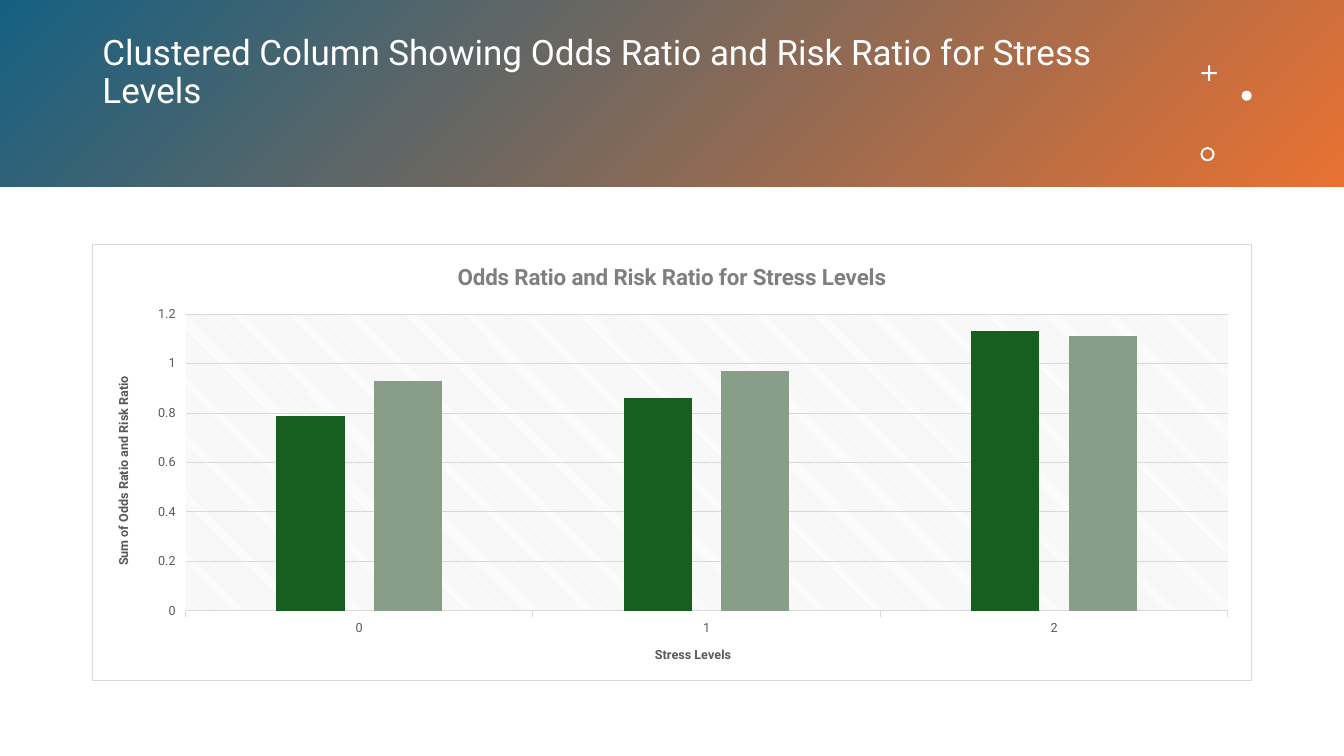
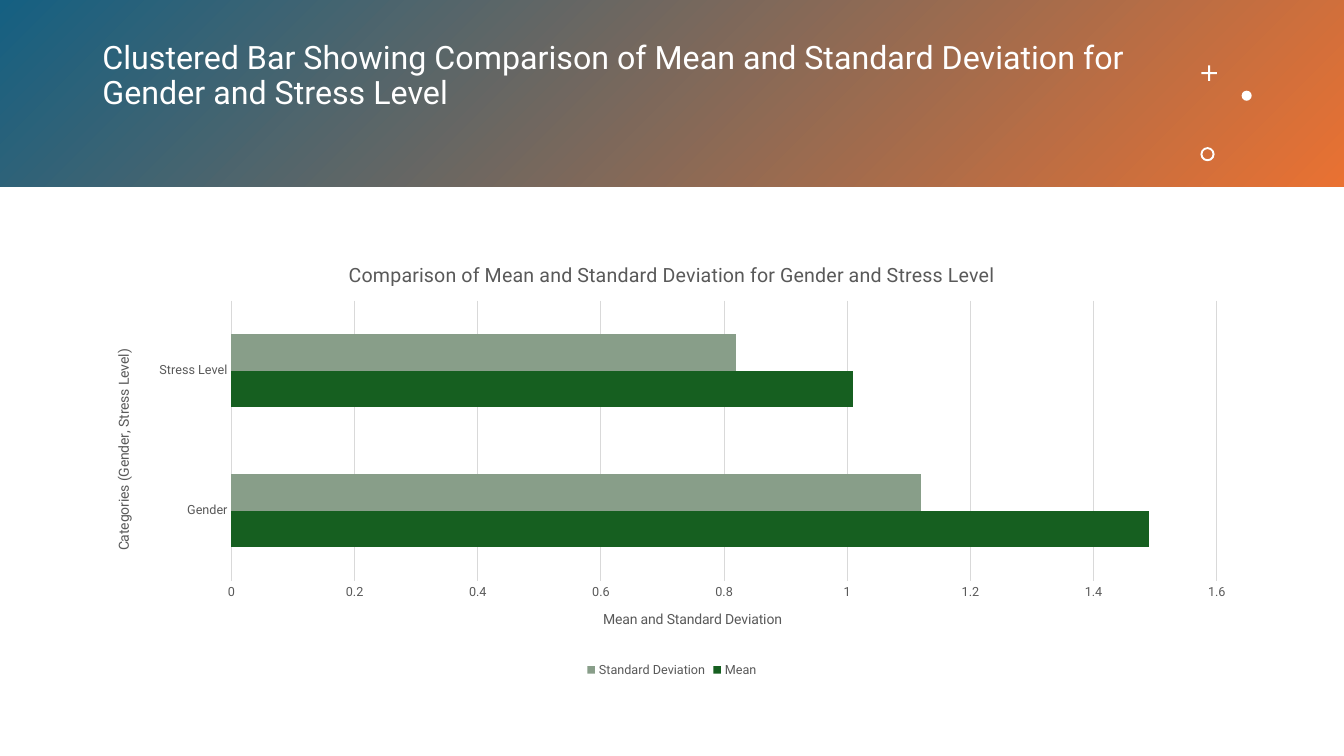
from dataclasses import dataclass

from pptx import Presentation
from pptx.chart.axis import _BaseAxis as Axis
from pptx.chart.chart import Chart
from pptx.chart.data import CategoryChartData as Data
from pptx.dml.color import RGBColor as RGB
from pptx.enum.chart import XL_CHART_TYPE as Kind
from pptx.enum.chart import XL_LEGEND_POSITION as Side
from pptx.enum.chart import XL_TICK_MARK as Tick
from pptx.enum.shapes import MSO_SHAPE as Form
from pptx.enum.text import MSO_ANCHOR as Anchor
from pptx.enum.text import MSO_AUTO_SIZE as Fit
from pptx.enum.text import PP_ALIGN as Align
from pptx.oxml import parse_xml
from pptx.oxml.ns import nsdecls
from pptx.shapes.autoshape import Shape
from pptx.slide import Slide
from pptx.text.text import Font, TextFrame
from pptx.util import Pt

BLUE = RGB(0x15, 0x60, 0x82)
ORANGE = RGB(0xE9, 0x71, 0x32)
WHITE = RGB(0xFF, 0xFF, 0xFF)
GREEN = RGB(0x16, 0x5F, 0x20)
SAGE = RGB(0x88, 0x9E, 0x89)
RULE = RGB(0xD9, 0xD9, 0xD9)
INK = RGB(0x59, 0x59, 0x59)
GREY = RGB(0x7F, 0x7F, 0x7F)

FACE = "Roboto"
WIDE, HIGH = 960, 540
BAND = 133.2
HEAD_BOX = (66, 23.8, 774, 85.7)
CHART_BOX = (66, 174.2, 828, 312.5)


@dataclass(frozen=True)
class Mark:
    form: Form
    left: float
    top: float
    size: float
    adjust: float | None = None


@dataclass(frozen=True)
class Label:
    text: str
    size: float
    bold: bool = False
    color: RGB = INK


@dataclass(frozen=True)
class Series:
    name: str
    values: tuple[float, ...]
    color: RGB


@dataclass(frozen=True)
class Plot:
    kind: Kind
    title: Label
    cats: tuple[str, ...]
    series: tuple[Series, ...]
    cat_name: Label
    val_name: Label
    top_val: float
    gap: int
    overlap: int
    tick: Tick
    inner: tuple[float, float, float, float]
    framed: bool = False
    legend: bool = False


@dataclass(frozen=True)
class Page:
    title: str
    size: float
    plot: Plot


MARKS = (
    Mark(Form.CROSS, 858.2, 46.8, 11, 0.44),
    Mark(Form.OVAL, 886.9, 64.8, 7.2),
    Mark(Form.DONUT, 857.5, 105.1, 10.1, 0.14),
)

PAGES = (
    Page(
        "Clustered Column Showing Odds Ratio and Risk Ratio for Stress Levels",
        25,
        Plot(
            kind=Kind.COLUMN_CLUSTERED,
            title=Label("Odds Ratio and Risk Ratio for Stress Levels", 16, True, GREY),
            cats=("0", "1", "2"),
            series=(
                Series("Series 1", (0.79, 0.86, 1.13), GREEN),
                Series("Series 2", (0.93, 0.97, 1.11), SAGE),
            ),
            cat_name=Label("Stress Levels", 9, True),
            val_name=Label("Sum of Odds Ratio and Risk Ratio", 9, True),
            top_val=1.2,
            gap=267,
            overlap=-43,
            tick=Tick.OUTSIDE,
            inner=(0.08, 0.16, 0.9, 0.68),
            framed=True,
        ),
    ),
    Page(
        "Clustered Bar Showing Comparison of Mean and Standard Deviation"
        " for Gender and Stress Level",
        23,
        Plot(
            kind=Kind.BAR_CLUSTERED,
            title=Label(
                "Comparison of Mean and Standard Deviation for Gender and Stress Level", 14
            ),
            cats=("Gender", "Stress Level"),
            series=(
                Series("Mean", (1.49, 1.01), GREEN),
                Series("Standard Deviation", (1.12, 0.82), SAGE),
            ),
            cat_name=Label("Categories (Gender, Stress Level)", 10),
            val_name=Label("Mean and Standard Deviation", 10),
            top_val=1.6,
            gap=182,
            overlap=0,
            tick=Tick.NONE,
            inner=(0.12, 0.13, 0.85, 0.64),
            legend=True,
        ),
    ),
)


def style(font: Font, size: float, color: RGB, bold: bool = False) -> None:
    font.name, font.size, font.bold = FACE, Pt(size), bold
    font.color.rgb = color


def write(frame: TextFrame, label: Label) -> None:
    frame.text = label.text
    for run in frame.paragraphs[0].runs:
        style(run.font, label.size, label.color, label.bold)


def add_form(slide: Slide, form: Form, box: tuple[float, ...]) -> Shape:
    shape = slide.shapes.add_shape(form, *map(Pt, box))
    shape.shadow.inherit = False
    shape.line.fill.background()
    return shape


def add_head(slide: Slide, page: Page) -> None:
    band = add_form(slide, Form.RECTANGLE, (0, 0, WIDE, BAND))
    band.fill.gradient()
    band.fill.gradient_angle = 315
    for stop, color in zip(band.fill.gradient_stops, (BLUE, ORANGE)):
        stop.color.rgb = color

    title = slide.shapes.title
    title._element.addprevious(band._element)
    title.left, title.top, title.width, title.height = map(Pt, HEAD_BOX)
    frame = title.text_frame
    write(frame, Label(page.title, page.size, color=WHITE))
    frame.word_wrap = True
    frame.auto_size = Fit.NONE
    frame.vertical_anchor = Anchor.BOTTOM
    frame.margin_bottom = Pt(30)
    line = frame.paragraphs[0]
    line.alignment, line.line_spacing = Align.LEFT, 0.9

    for mark in MARKS:
        shape = add_form(slide, mark.form, (mark.left, mark.top, mark.size, mark.size))
        shape.fill.solid()
        shape.fill.fore_color.rgb = WHITE
        if mark.adjust is not None:
            shape.adjustments[0] = mark.adjust


def make_props(fill: str, line: str):
    """Build the fill and outline element of a chart part."""
    return parse_xml(
        f'<c:spPr {nsdecls("c", "a")}>{fill}<a:ln w="{Pt(0.75)}">{line}</a:ln></c:spPr>'
    )


def frame_chart(chart: Chart, plot: Plot) -> None:
    """Fix the inner plot area, then fill and outline both areas."""
    none = "<a:noFill/>"
    back = edge = hatch = none
    if plot.framed:
        back = f'<a:solidFill><a:srgbClr val="{WHITE}"/></a:solidFill>'
        edge = f'<a:solidFill><a:srgbClr val="{RULE}"/></a:solidFill>'
        hatch = (
            f'<a:pattFill prst="ltDnDiag"><a:fgClr><a:srgbClr val="{RULE}"/></a:fgClr>'
            f'<a:bgClr><a:srgbClr val="{WHITE}"/></a:bgClr></a:pattFill>'
        )
    root = chart._chartSpace.chart
    root.addnext(make_props(back, edge))
    area = root.plotArea
    for old in area.findall("{*}layout"):
        area.remove(old)
    sides = "".join(f'<c:{key} val="{val}"/>' for key, val in zip("xywh", plot.inner))
    area.insert(0, parse_xml(
        f'<c:layout {nsdecls("c")}><c:manualLayout><c:layoutTarget val="inner"/>'
        f'<c:xMode val="edge"/><c:yMode val="edge"/>{sides}</c:manualLayout></c:layout>'
    ))
    area.append(make_props(hatch, none))


def set_axis(axis: Axis, label: Label, tick: Tick, upright: bool) -> None:
    frame = axis.axis_title.text_frame
    write(frame, label)
    body = frame._txBody.bodyPr
    body.set("rot", "-5400000" if upright else "0")
    body.set("vert", "horz")
    style(axis.tick_labels.font, 9, INK)
    axis.major_tick_mark, axis.minor_tick_mark = tick, Tick.NONE


def add_plot(slide: Slide, plot: Plot) -> None:
    data = Data()
    data.categories = plot.cats
    for item in plot.series:
        data.add_series(item.name, item.values)
    chart = slide.shapes.add_chart(plot.kind, *map(Pt, CHART_BOX), data).chart
    style(chart.font, 10, INK)
    chart.has_title = True
    write(chart.chart_title.text_frame, plot.title)

    bars = chart.plots[0]
    bars.gap_width, bars.overlap = plot.gap, plot.overlap
    bars.vary_by_categories = False
    for item, spec in zip(bars.series, plot.series):
        item.format.fill.solid()
        item.format.fill.fore_color.rgb = spec.color

    flat = plot.kind == Kind.BAR_CLUSTERED
    cat, val = chart.category_axis, chart.value_axis
    set_axis(cat, plot.cat_name, plot.tick, flat)
    set_axis(val, plot.val_name, plot.tick, not flat)
    val.minimum_scale, val.maximum_scale, val.major_unit = 0, plot.top_val, 0.2
    val.has_major_gridlines = True
    for line in (cat.format.line, val.major_gridlines.format.line):
        line.color.rgb, line.width = RULE, Pt(0.75)
    val.format.line.fill.background()

    chart.has_legend = plot.legend
    if plot.legend:
        chart.legend.position = Side.BOTTOM
        chart.legend.include_in_layout = False
        style(chart.legend.font, 9, INK)
    frame_chart(chart, plot)


def main() -> None:
    deck = Presentation()
    deck.slide_width, deck.slide_height = Pt(WIDE), Pt(HIGH)
    for page in PAGES:
        slide = deck.slides.add_slide(deck.slide_layouts[5])
        add_head(slide, page)
        add_plot(slide, page.plot)
    deck.save("out.pptx")


if __name__ == "__main__":
    main()
